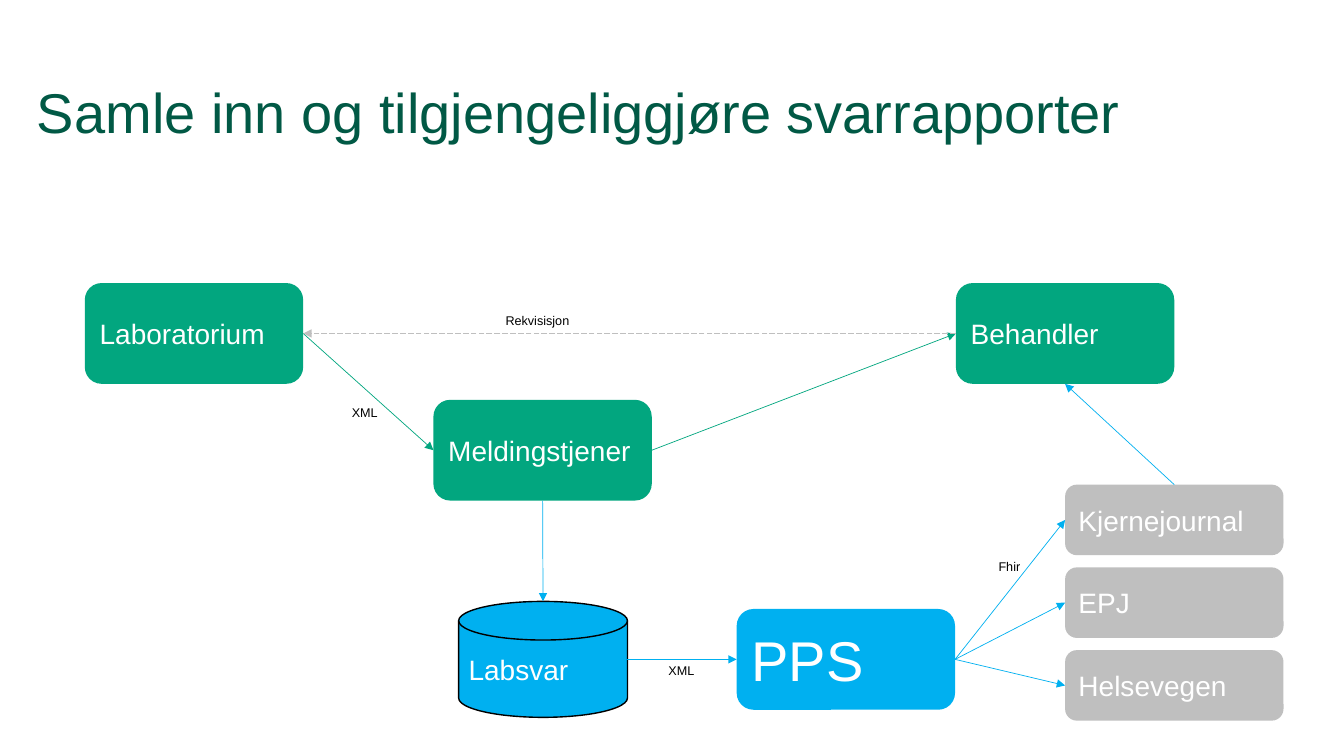
import lxml.etree
import pptx
import pptx.dml.color
import pptx.enum.dml
import pptx.enum.shapes
import pptx.enum.text
import pptx.oxml.ns
import pptx.util

DARK_GREEN = pptx.dml.color.RGBColor(0x01, 0x59, 0x45)
GREEN = pptx.dml.color.RGBColor(0x02, 0xA6, 0x7F)
BLUE = pptx.dml.color.RGBColor(0x00, 0xB0, 0xF0)
GREY = pptx.dml.color.RGBColor(0xBF, 0xBF, 0xBF)
BLACK = pptx.dml.color.RGBColor(0x00, 0x00, 0x00)
WHITE = pptx.dml.color.RGBColor(0xFF, 0xFF, 0xFF)

COLUMNS, ROWS = 160, 90
TOP, LEFT, BOTTOM, RIGHT = range(4)
SHAPES = pptx.enum.shapes.MSO_SHAPE


class FlowSlide:
    """Draws a flow diagram on a grid of 160 columns and 90 rows."""

    font = "Arial"
    box_width, box_height, system_height = 26, 12, 8.4

    def __init__(self, presentation):
        self.column = presentation.slide_width / COLUMNS
        self.row = presentation.slide_height / ROWS
        self.slide = presentation.slides.add_slide(presentation.slide_layouts[5])
        self.shapes = self.slide.shapes

    def area(self, column, row, width, height):
        return (round(column * self.column), round(row * self.row),
                round(width * self.column), round(height * self.row))

    def set_text(self, frame, text, size, color):
        frame.text = text
        paragraph = frame.paragraphs[0]
        paragraph.alignment = pptx.enum.text.PP_ALIGN.LEFT
        font = paragraph.runs[0].font
        font.name, font.size, font.color.rgb = self.font, pptx.util.Pt(size), color
        return paragraph

    def title(self, text, column, row, width, height):
        heading = self.shapes.title
        heading.left, heading.top, heading.width, heading.height = self.area(
            column, row, width, height)
        frame = heading.text_frame
        frame.margin_left = frame.margin_right = frame.margin_top = frame.margin_bottom = 0
        frame.vertical_anchor = pptx.enum.text.MSO_ANCHOR.TOP
        frame.auto_size = pptx.enum.text.MSO_AUTO_SIZE.NONE
        self.set_text(frame, text, 40, DARK_GREEN).line_spacing = 0.9

    def node(self, kind, text, area, color, size=20):
        node = self.shapes.add_shape(kind, *self.area(*area))
        node.shadow.inherit = False
        node.fill.solid()
        node.fill.fore_color.rgb = color
        node.line.fill.background()
        node.text_frame.vertical_anchor = pptx.enum.text.MSO_ANCHOR.MIDDLE
        self.set_text(node.text_frame, text, size, WHITE)
        return node

    def box(self, text, column, row, color, size=20, height=box_height):
        return self.node(SHAPES.ROUNDED_RECTANGLE, text,
                         (column, row, self.box_width, height), color, size)

    def store(self, text, column, row, width, height):
        store = self.node(SHAPES.FLOWCHART_MAGNETIC_DISK, text,
                          (column, row, width, height), BLUE)
        store.line.color.rgb = BLACK
        store.line.width = pptx.util.Pt(1)
        return store

    def label(self, text, column, row, width):
        frame = self.shapes.add_textbox(*self.area(column, row, width, 3)).text_frame
        frame.word_wrap = False
        frame.auto_size = pptx.enum.text.MSO_AUTO_SIZE.SHAPE_TO_FIT_TEXT
        self.set_text(frame, text, 9, BLACK)

    def side_middle(self, node, side):
        across = {LEFT: 0, RIGHT: node.width}.get(side, node.width // 2)
        down = {TOP: 0, BOTTOM: node.height}.get(side, node.height // 2)
        return node.left + across, node.top + down

    def arrow(self, source, source_side, target, target_side, color, dash=None):
        arrow = self.shapes.add_connector(
            pptx.enum.shapes.MSO_CONNECTOR.STRAIGHT,
            *self.side_middle(source, source_side), *self.side_middle(target, target_side))
        if source.auto_shape_type == SHAPES.ROUNDED_RECTANGLE:
            arrow.begin_connect(source, source_side)
        if target.auto_shape_type == SHAPES.ROUNDED_RECTANGLE:
            arrow.end_connect(target, target_side)
        arrow.line.color.rgb = color
        arrow.line.width = pptx.util.Pt(0.5)
        if dash:
            arrow.line.dash_style = dash
        qn = pptx.oxml.ns.qn
        properties = arrow._element.spPr
        lxml.etree.SubElement(properties.find(qn("a:ln")), qn("a:tailEnd"), type="triangle")
        lxml.etree.SubElement(properties, qn("a:effectLst"))


def main():
    presentation = pptx.Presentation()
    presentation.slide_width = pptx.util.Inches(13.33)
    presentation.slide_height = pptx.util.Inches(7.5)
    flow = FlowSlide(presentation)
    flow.title("Samle inn og tilgjengeliggjøre svarrapporter", 4.4, 10.1, 151.2, 13)

    laboratory = flow.box("Laboratorium", 10.1, 33.7, GREEN)
    message_service = flow.box("Meldingstjener", 51.6, 47.6, GREEN)
    clinician = flow.box("Behandler", 113.8, 33.7, GREEN)
    lab_results = flow.store("Labsvar", 54.6, 71.6, 20.1, 13.8)
    pps = flow.box("PPS", 87.7, 72.5, BLUE, size=40)
    systems = [
        flow.box(name, 126.8, 57.7 + 9.85 * index, GREY, height=flow.system_height)
        for index, name in enumerate(("Kjernejournal", "EPJ", "Helsevegen"))
    ]

    flow.arrow(laboratory, RIGHT, message_service, LEFT, GREEN)
    flow.arrow(message_service, RIGHT, clinician, LEFT, GREEN)
    flow.arrow(clinician, LEFT, laboratory, RIGHT, GREY,
               pptx.enum.dml.MSO_LINE.LONG_DASH)
    flow.arrow(message_service, BOTTOM, lab_results, TOP, BLUE)
    flow.arrow(lab_results, RIGHT, pps, LEFT, BLUE)
    flow.arrow(systems[0], TOP, clinician, BOTTOM, BLUE)
    for system in systems:
        flow.arrow(pps, RIGHT, system, LEFT, BLUE)

    for text, column, row, width in (
        ("Rekvisisjon", 59, 36.7, 10.1),
        ("XML", 40.7, 47.6, 5.5),
        ("XML", 78.4, 78.3, 5.5),
        ("Fhir", 117.7, 65.9, 5),
    ):
        flow.label(text, column, row, width)

    presentation.save("out.pptx")


if __name__ == "__main__":
    main()
